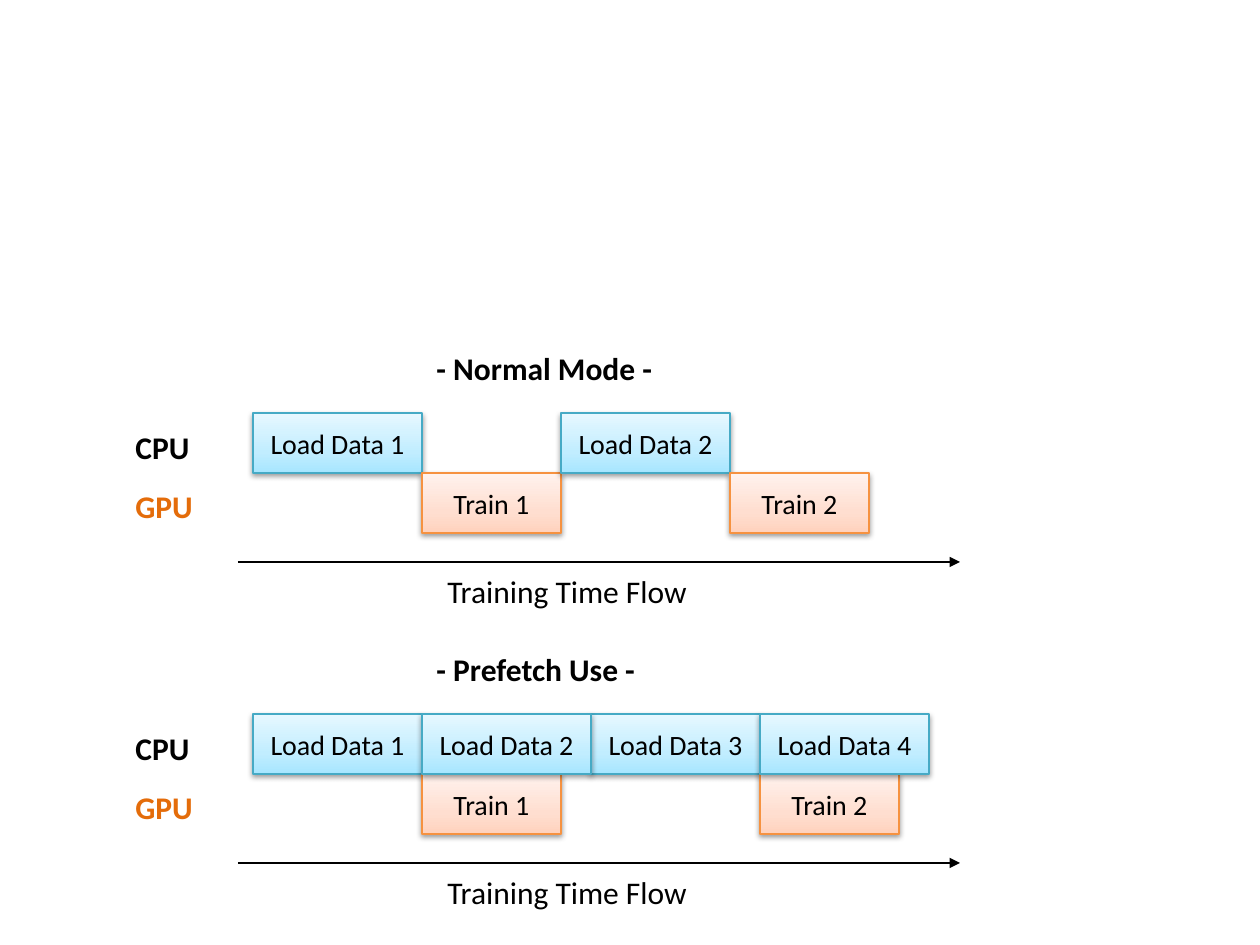
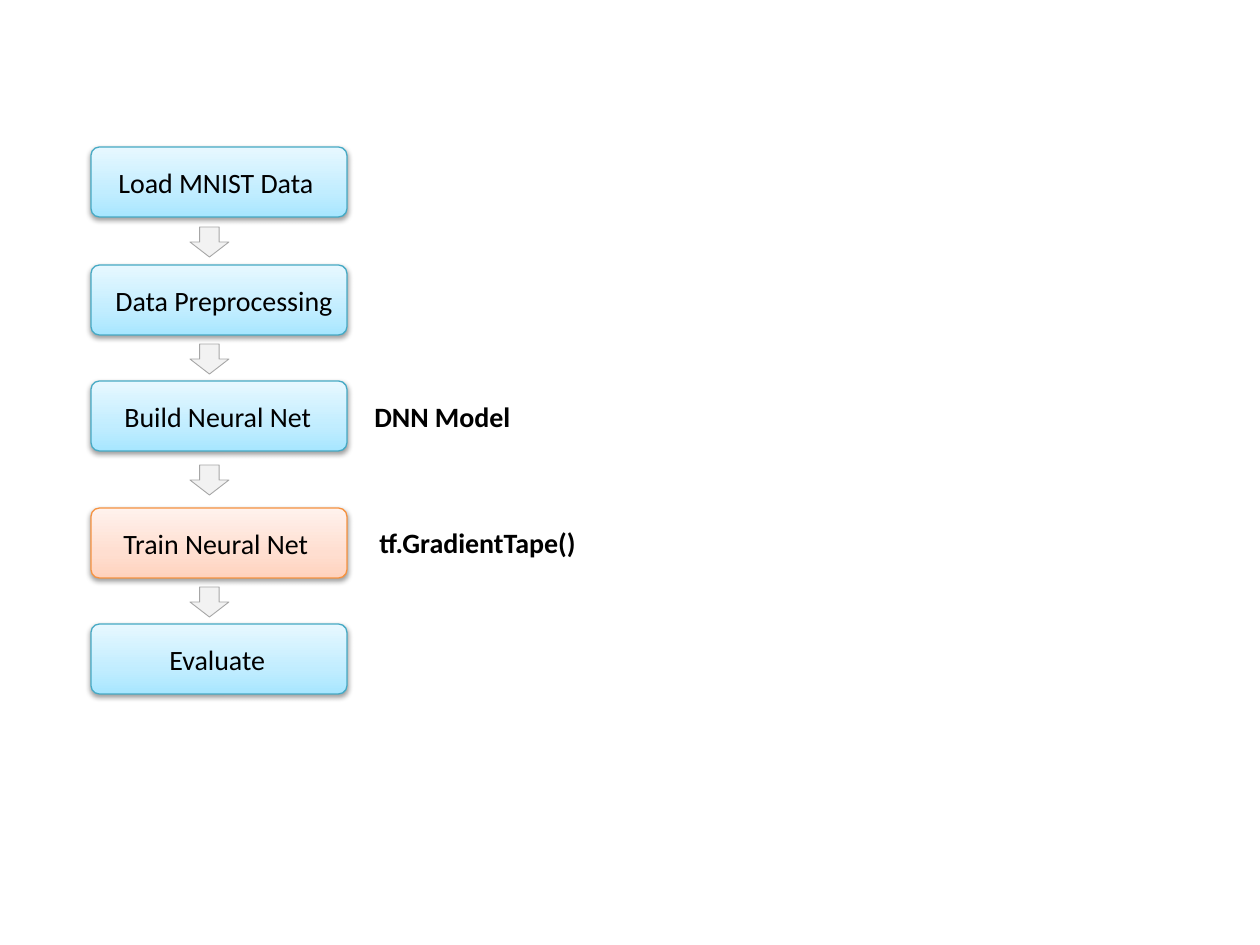
from copy import deepcopy

from lxml.etree import SubElement
from pptx import Presentation
from pptx.dml.color import RGBColor
from pptx.enum.shapes import MSO_CONNECTOR, MSO_SHAPE
from pptx.enum.text import MSO_ANCHOR, MSO_AUTO_SIZE, PP_ALIGN
from pptx.oxml.ns import qn
from pptx.util import Pt

PX = 914400 / 126
COLORS = {
    "text": "000000", "gpu": "E46C0A",
    "arrow": "F2F2F2", "arrow_line": "A6A6A6",
    "load_line": "46AAC5", "train_line": "F69240",
}
GRADIENTS = {
    "load": ("A7E6FF", "C1EDFF", "E7F8FF"),
    "train": ("FFD2BD", "FFDED0", "FFF2ED"),
}
STOPS = (0, 0.35, 1)

# Slide 1: time flow panels
PANEL_X, PANEL_PITCH = 123, 301
ROW_H, LOAD_W, TRAIN_W = 60, 169, 139
BLOCK_W = {"load": LOAD_W, "train": TRAIN_W}
ROW = {"load": 0, "train": 1}
NORMAL_BLOCKS = [
    ("load", "Load Data 1", 0),
    ("train", "Train 1", LOAD_W),
    ("load", "Load Data 2", LOAD_W + TRAIN_W),
    ("train", "Train 2", 2 * LOAD_W + TRAIN_W),
]
PREFETCH_BLOCKS = [
    ("load", "Load Data 1", 0),
    ("train", "Train 1", LOAD_W),
    ("load", "Load Data 3", 2 * LOAD_W),
    ("train", "Train 2", 3 * LOAD_W),
    ("load", "Load Data 2", LOAD_W),
    ("load", "Load Data 4", 3 * LOAD_W),
]
PANELS = [(" - Normal Mode -", 251, NORMAL_BLOCKS),
          (" - Prefetch Use -", 233, PREFETCH_BLOCKS)]

# Slide 2: kind, top, label, label left, label width
STEP_X, STEP_W, STEP_H = 91, 256, 70
STEPS = [
    ("load", 147, "Load MNIST Data", 106, 223),
    ("load", 265, "Data Preprocessing", 103, 246),
    ("load", 381, "Build Neural Net", 112, 214),
    ("train", 508, "Train Neural Net", 111, 213),
    ("load", 624, "Evaluate", 157, 122),
]
NOTES = [("DNN Model", 362, 393, 255), ("tf.GradientTape()", 367, 519, 226)]
ARROW_X, ARROW_W, ARROW_H = 190, 39, 30


def emu(*lengths):
    return [round(v * PX) for v in lengths]


def rgb(name):
    return RGBColor.from_string(COLORS[name])


def write(tf, text, size, color="text", bold=None, align=None):
    p = tf.paragraphs[0]
    p.alignment = align
    r = p.add_run()
    r.text = text
    r.font.color.rgb = rgb(color)
    for name, value in {"name": "Calibri", "size": Pt(size), "bold": bold}.items():
        setattr(r.font, name, value)


def add_text(slide, box, text, size=18, wrap=False, **style):
    tf = slide.shapes.add_textbox(*emu(*box)).text_frame
    tf.word_wrap = wrap
    tf.auto_size = MSO_AUTO_SIZE.SHAPE_TO_FIT_TEXT
    write(tf, text, size, **style)


def add_outlined(slide, shape, box, line, width):
    sp = slide.shapes.add_shape(shape, *emu(*box))
    sp.shadow.inherit = False
    sp.line.color.rgb = rgb(line)
    sp.line.width = Pt(width)
    return sp


def add_block(slide, shape, box, kind):
    """Add a shape with a vertical three-stop gradient and a soft shadow."""
    sp = add_outlined(slide, shape, box, kind + "_line", 0.75)
    sp.fill.gradient()
    sp.fill.gradient_angle = 90
    spPr = sp._element.spPr
    stops = spPr.find(".//" + qn("a:gsLst"))
    stops.append(deepcopy(stops[0]))
    for stop, position, color in zip(sp.fill.gradient_stops, STOPS, GRADIENTS[kind]):
        stop.position = position
        stop.color.rgb = RGBColor.from_string(color)
    shadow = SubElement(spPr.find(qn("a:effectLst")), qn("a:outerShdw"),
                        blurRad="40000", dist="20000", dir="5400000", rotWithShape="0")
    black = SubElement(shadow, qn("a:srgbClr"), val="000000")
    SubElement(black, qn("a:alpha"), val="38000")
    return sp


def add_time_arrow(slide, x, y, length):
    line = slide.shapes.add_connector(MSO_CONNECTOR.STRAIGHT, *emu(x, y, x + length, y))
    line.line.color.rgb = rgb("text")
    line.line.width = Pt(1.5)
    SubElement(line.line._get_or_add_ln(), qn("a:tailEnd"), type="triangle")
    SubElement(line._element.spPr, qn("a:effectLst"))


def time_panel(slide, x, y, title, title_w, blocks):
    for kind, label, start in blocks:
        box = (x + 130 + start, y + 70 + ROW[kind] * ROW_H, BLOCK_W[kind], ROW_H)
        sp = add_block(slide, MSO_SHAPE.RECTANGLE, box, kind)
        sp.text_frame.vertical_anchor = MSO_ANCHOR.MIDDLE
        write(sp.text_frame, label, 16, align=PP_ALIGN.CENTER)
    add_text(slide, (x, y + 79, 79, 50), "CPU", bold=True)
    add_text(slide, (x, y + 138, 83, 50), "GPU", color="gpu", bold=True)
    add_time_arrow(slide, x + 115, y + 219, 722)
    add_text(slide, (x + 312, y + 223, 267, 50), "Training Time Flow")
    add_text(slide, (x + 294, y, title_w, 50), title, bold=True)


def prefetch_slide(slide):
    for i, panel in enumerate(PANELS):
        time_panel(slide, PANEL_X, 343 + i * PANEL_PITCH, *panel)


def workflow_slide(slide):
    for kind, top, label, label_x, label_w in STEPS:
        sp = add_block(slide, MSO_SHAPE.ROUNDED_RECTANGLE,
                       (STEP_X, top, STEP_W, STEP_H), kind)
        sp.adjustments[0] = 0.12
        add_text(slide, (label_x, top + 12, label_w, 47), label, 16)
    for (_, top, *_), (_, next_top, *_) in zip(STEPS, STEPS[1:]):
        y = (top + STEP_H + next_top - ARROW_H) // 2 + 1
        sp = add_outlined(slide, MSO_SHAPE.DOWN_ARROW,
                          (ARROW_X, y, ARROW_W, ARROW_H), "arrow_line", 0.5)
        sp.fill.solid()
        sp.fill.fore_color.rgb = rgb("arrow")
    for text, x, y, w in NOTES:
        add_text(slide, (x, y, w, 47), text, 16, wrap=True, bold=True)


def main():
    prs = Presentation()
    prs.slide_width, prs.slide_height = emu(1260, 945)
    blank = prs.slide_layouts[6]
    for build in (prefetch_slide, workflow_slide):
        build(prs.slides.add_slide(blank))
    prs.save("out.pptx")


if __name__ == "__main__":
    main()
